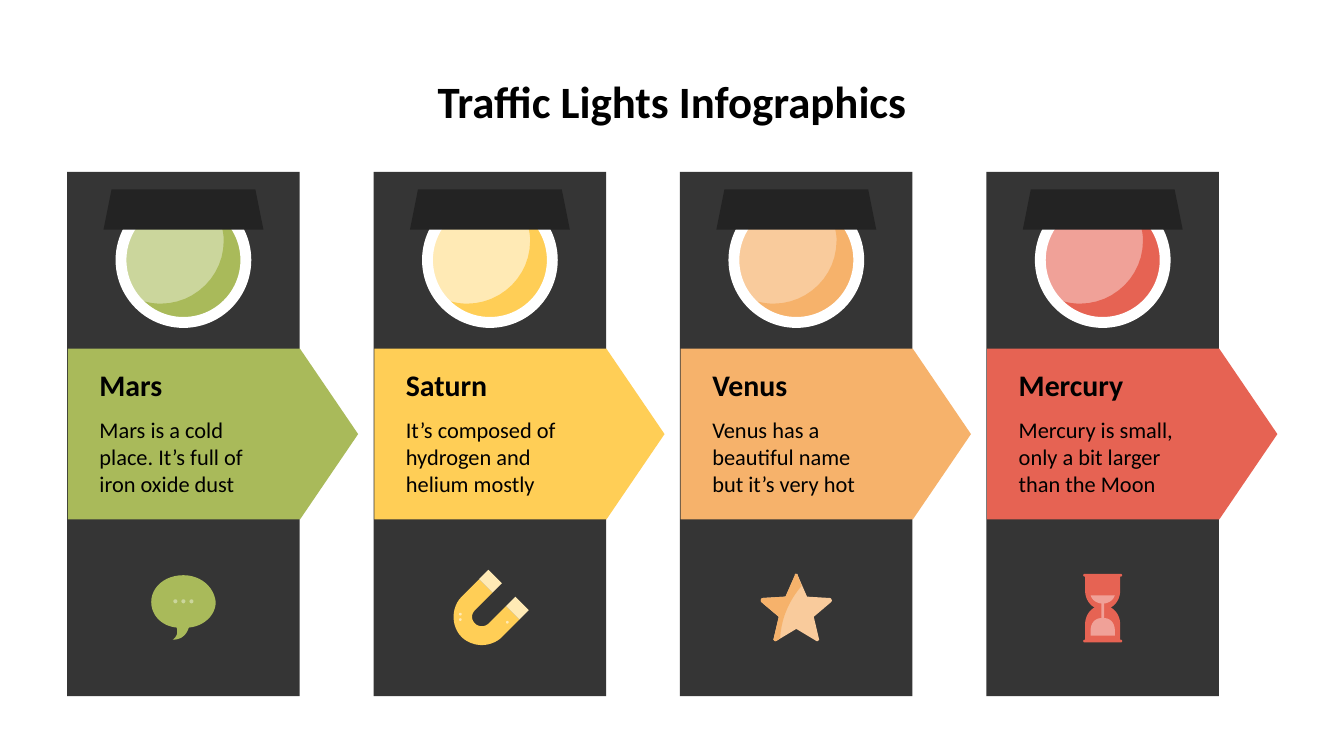
from dataclasses import dataclass
from typing import Callable

from pptx import Presentation
from pptx.dml.color import RGBColor
from pptx.enum.shapes import MSO_SHAPE
from pptx.enum.text import MSO_ANCHOR, PP_ALIGN
from pptx.util import Inches, Pt

FIRST_LEFT, COLUMN_STEP, PANEL_WIDTH = 0.5, 2.28, 1.73
CURVE_STEPS = 12


def color(value):
    return RGBColor.from_string(value)


def trace(path):
    """Turn pairs (line ends) and sixes (cubic curves) into a list of points."""
    points = []
    for step in path:
        if len(step) == 2:
            points.append(step)
            continue
        start, controls = points[-1], step
        for index in range(1, CURVE_STEPS + 1):
            t = index / CURVE_STEPS
            weights = ((1 - t) ** 3, 3 * t * (1 - t) ** 2, 3 * t * t * (1 - t), t ** 3)
            points.append(tuple(
                sum(weight * value for weight, value in
                    zip(weights, (start[axis], *controls[axis::2])))
                for axis in (0, 1)))
    return points


class Board:
    """Draws on one slide, with x measured from the center line."""

    font_name = "Calibri"
    text_color = "000000"

    def __init__(self, slide):
        self.slide = slide
        self.center = 0

    def paint(self, shape, fill):
        shape.shadow.inherit = False
        shape.fill.solid()
        shape.fill.fore_color.rgb = color(fill)
        shape.line.fill.background()
        return shape

    def preset(self, kind, x, y, width, height, fill, adjustment=None, rotation=0):
        """Place a preset shape whose middle is x from the center line."""
        shape = self.slide.shapes.add_shape(
            kind, Inches(self.center + x - width / 2), Inches(y),
            Inches(width), Inches(height))
        if adjustment is not None:
            shape.adjustments[0] = adjustment
        shape.rotation = rotation
        return self.paint(shape, fill)

    def outline(self, path, fill, mirrored=False):
        """Fill a closed path; a mirrored path gives only its left half."""
        points = trace(path)
        if mirrored:
            points += [(-x, y) for x, y in reversed(points)]
        vertices = [(Inches(self.center + x), Inches(y)) for x, y in points]
        builder = self.slide.shapes.build_freeform(*vertices[0])
        builder.add_line_segments(vertices[1:], close=True)
        return self.paint(builder.convert_to_shape(), fill)

    def text(self, content, y, width, height, size=12, bold=False,
             align=PP_ALIGN.LEFT, anchor=MSO_ANCHOR.MIDDLE, left_margin=0.12):
        box = self.slide.shapes.add_textbox(
            Inches(self.center - width / 2), Inches(y), Inches(width), Inches(height))
        frame = box.text_frame
        frame.word_wrap = True
        frame.vertical_anchor = anchor
        frame.margin_left = Inches(left_margin)
        frame.margin_right = frame.margin_top = frame.margin_bottom = Inches(0.1)
        paragraph = frame.paragraphs[0]
        paragraph.alignment = align
        run = paragraph.add_run()
        run.text = content
        run.font.name = self.font_name
        run.font.size = Pt(size)
        run.font.bold = bold
        run.font.color.rgb = color(self.text_color)


def draw_speech_bubble(board, main, pale):
    board.outline([
        (0, 4.28), (-0.14, 4.28, -0.24, 4.37, -0.24, 4.48),
        (-0.24, 4.58, -0.16, 4.66, -0.05, 4.67),
        (-0.04, 4.71, -0.05, 4.74, -0.08, 4.76),
        (-0.02, 4.76, 0.02, 4.73, 0.04, 4.67),
        (0.15, 4.66, 0.24, 4.58, 0.24, 4.48),
        (0.23, 4.37, 0.13, 4.28, 0, 4.28)], main)
    for x in (-0.06, 0, 0.06):
        board.preset(MSO_SHAPE.OVAL, x, 4.46, 0.03, 0.03, pale)


def draw_magnet(board, main, pale):
    board.outline([
        (-0.08, 4.31), (-0.21, 4.44), (-0.29, 4.52, -0.29, 4.66, -0.21, 4.74),
        (-0.17, 4.78, -0.11, 4.80, -0.06, 4.80),
        (-0.01, 4.80, 0.05, 4.78, 0.09, 4.74), (0.22, 4.61), (0.12, 4.51),
        (-0.01, 4.64), (-0.02, 4.65, -0.04, 4.66, -0.06, 4.66),
        (-0.08, 4.66, -0.10, 4.65, -0.11, 4.64),
        (-0.14, 4.61, -0.14, 4.57, -0.11, 4.54), (0.02, 4.41)], main)
    for x, y in ((-0.22, 4.60), (-0.22, 4.56), (0.13, 4.62)):
        board.preset(MSO_SHAPE.OVAL, x, y, 0.02, 0.02, pale)
    for x, y in ((-0.01, 4.24), (0.19, 4.44)):
        board.outline([(x, y), (x - 0.07, y + 0.07), (x + 0.03, y + 0.17),
                       (x + 0.10, y + 0.10)], pale)


def draw_star(board, main, pale):
    left_edge = [
        (0, 4.27), (-0.01, 4.27, -0.01, 4.27, -0.01, 4.28), (-0.08, 4.44),
        (-0.25, 4.45), (-0.26, 4.45, -0.27, 4.47, -0.26, 4.48), (-0.13, 4.59),
        (-0.17, 4.76), (-0.17, 4.76, -0.16, 4.77, -0.16, 4.77), (-0.15, 4.77)]
    board.outline(left_edge + [(0, 4.68)], pale, mirrored=True)
    board.outline(left_edge + [
        (-0.12, 4.75), (-0.11, 4.56, -0.02, 4.43, 0.04, 4.36), (0.01, 4.28)], main)


def draw_hourglass(board, main, pale):
    board.outline([
        (-0.13, 4.28), (-0.13, 4.40), (-0.13, 4.45, -0.10, 4.50, -0.06, 4.52),
        (-0.10, 4.54, -0.13, 4.59, -0.13, 4.64), (-0.13, 4.77)], main, mirrored=True)
    for y in (4.27, 4.76):
        board.preset(MSO_SHAPE.ROUNDED_RECTANGLE, 0, y, 0.29, 0.02, main, adjustment=0.5)
    board.outline([
        (-0.09, 4.43), (-0.08, 4.46, -0.06, 4.48, -0.02, 4.49), (-0.01, 4.49),
        (-0.01, 4.60), (-0.06, 4.60, -0.09, 4.64, -0.09, 4.69), (-0.09, 4.73)],
        pale, mirrored=True)


@dataclass
class Light:
    planet: str
    description: str
    main: str
    pale: str
    draw_icon: Callable


LIGHTS = [
    Light("Mars", "Mars is a cold place. It’s full of iron oxide dust",
          "A9BA5A", "CBD69C", draw_speech_bubble),
    Light("Saturn", "It’s composed of hydrogen and helium mostly",
          "FFCE56", "FFEAB5", draw_magnet),
    Light("Venus", "Venus has a beautiful name but it’s very hot",
          "F6B26B", "F9CB9C", draw_star),
    Light("Mercury", "Mercury is small, only a bit larger than the Moon",
          "E66353", "F0A198", draw_hourglass),
]


def draw_column(board, light):
    board.preset(MSO_SHAPE.RECTANGLE, 0, 1.28, PANEL_WIDTH, 3.9, "353535")
    board.preset(MSO_SHAPE.FLOWCHART_OFFPAGE_CONNECTOR, 0.22, 2.15, 1.27, 2.16,
                 light.main, rotation=270)
    board.preset(MSO_SHAPE.OVAL, 0, 1.47, 0.93, 0.93, light.pale)
    board.outline([
        (0.23, 1.56), (0.27, 1.63, 0.30, 1.71, 0.30, 1.79),
        (0.30, 2.05, 0.09, 2.26, -0.17, 2.26),
        (-0.26, 2.26, -0.36, 2.23, -0.44, 2.17),
        (-0.36, 2.31, -0.21, 2.40, -0.04, 2.40),
        (0.22, 2.40, 0.43, 2.19, 0.43, 1.94),
        (0.43, 1.78, 0.35, 1.64, 0.23, 1.56)], light.main)
    board.preset(MSO_SHAPE.DONUT, 0, 1.43, 1.01, 1.01, "FFFFFF", adjustment=0.08)
    board.preset(MSO_SHAPE.TRAPEZOID, 0, 1.41, 1.19, 0.3, "232323", adjustment=0.2)
    board.text(light.planet, 2.68, 1.49, 0.36, size=16, bold=True)
    board.text(light.description, 3, 1.49, 0.79)
    light.draw_icon(board, light.main, light.pale)


def main():
    presentation = Presentation()
    presentation.slide_width = Inches(10)
    presentation.slide_height = Inches(10 * 9 / 16)
    board = Board(presentation.slides.add_slide(presentation.slide_layouts[6]))
    board.center = 5
    board.text("Traffic Lights Infographics", 0.45, 9, 0.44, size=24, bold=True,
               align=PP_ALIGN.CENTER, anchor=MSO_ANCHOR.TOP, left_margin=0.1)
    for index, light in enumerate(LIGHTS):
        board.center = FIRST_LEFT + index * COLUMN_STEP + PANEL_WIDTH / 2
        draw_column(board, light)
    presentation.save("out.pptx")


if __name__ == "__main__":
    main()
